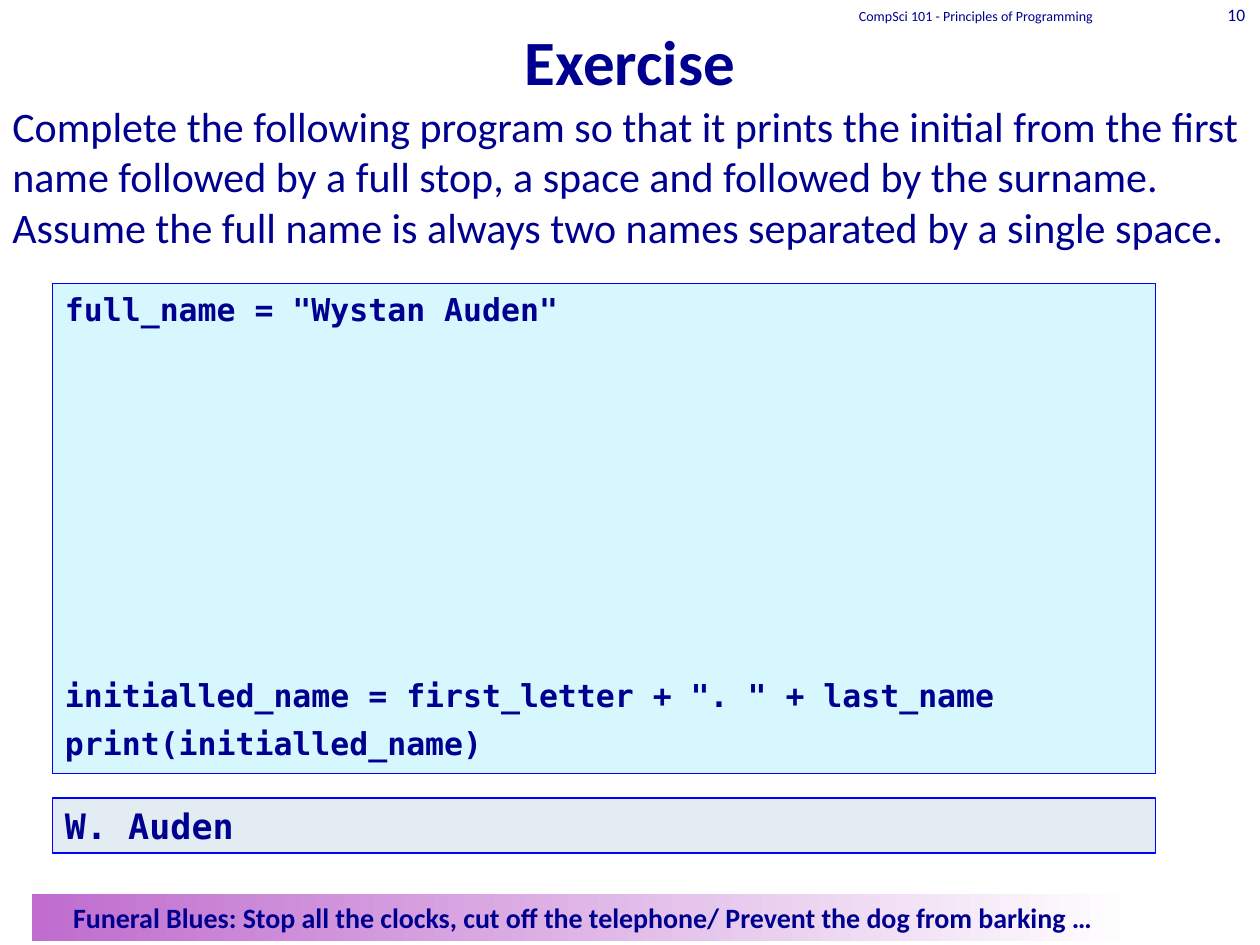
from pptx import Presentation
from pptx.dml.color import RGBColor
from pptx.enum import shapes, text
from pptx.util import Cm, Pt

NAVY = RGBColor(0x00, 0x00, 0x90)
BLUE = RGBColor(0x00, 0x00, 0xFF)
CODE_FILL = RGBColor(0xD7, 0xF7, 0xFF)
OUTPUT_FILL = RGBColor(0xE3, 0xEB, 0xF3)
ORCHID = RGBColor(0xBF, 0x6C, 0xCE)
WHITE = RGBColor(0xFF, 0xFF, 0xFF)

SANS, MONO = "Calibri", "DejaVu Sans Mono"
LEFT, CENTER, RIGHT = text.PP_ALIGN.LEFT, text.PP_ALIGN.CENTER, text.PP_ALIGN.RIGHT
TOP, MIDDLE, BOTTOM = text.MSO_ANCHOR.TOP, text.MSO_ANCHOR.MIDDLE, text.MSO_ANCHOR.BOTTOM


def write(shape, lines, size, font=SANS, bold=False, align=LEFT, anchor=TOP):
    frame = shape.text_frame
    frame.word_wrap = True
    frame.vertical_anchor = anchor
    frame.text = "\n".join(lines)
    for paragraph in frame.paragraphs:
        paragraph.alignment = align
        paragraph.font.name = font
        paragraph.font.size = Pt(size)
        paragraph.font.bold = bold
        paragraph.font.color.rgb = NAVY


def add_panel(left, top, width, height):
    panel = slide.shapes.add_shape(
        shapes.MSO_SHAPE.RECTANGLE, Cm(left), Cm(top), Cm(width), Cm(height))
    panel.shadow.inherit = False
    return panel


prs = Presentation()
prs.slide_width, prs.slide_height = Cm(25.4), Cm(19.05)
slide = prs.slides.add_slide(prs.slide_layouts[6])

# Heading, task and page header
labels = [
    ("Exercise", (0, 0, 25.4, 2.11), 36, True, CENTER, BOTTOM),
    ("Complete the following program so that it prints the initial from the first "
     "name followed by a full stop, a space and followed by the surname. "
     "Assume the full name is always two names separated by a single space.",
     (0, 1.9, 25.4, 4), 24, False, LEFT, TOP),
    ("CompSci 101 - Principles of Programming",
     (14.6, -0.2, 10.16, 1.06), 8, False, CENTER, MIDDLE),
    ("10", (23.93, -0.2, 1.42, 1), 10, False, RIGHT, MIDDLE),
]
for wording, (left, top, width, height), size, bold, align, anchor in labels:
    label = slide.shapes.add_textbox(Cm(left), Cm(top), Cm(width), Cm(height))
    write(label, [wording], size, bold=bold, align=align, anchor=anchor)

# Expected output and program
output = add_panel(1.06, 16.09, 22.23, 1.11)
write(output, ["W. Auden"], 20, MONO, True)

program = add_panel(1.06, 5.72, 22.23, 9.88)
write(program, ['full_name = "Wystan Auden"',
                'initialled_name = first_letter + ". " + last_name',
                "print(initialled_name)"], 18, MONO, True)
# The wide gap is where the student writes the missing code
for paragraph, gap in zip(program.text_frame.paragraphs, (6, 199, 6)):
    paragraph.space_before = Pt(gap)

for panel, colour in ((output, OUTPUT_FILL), (program, CODE_FILL)):
    panel.fill.solid()
    panel.fill.fore_color.rgb = colour
    panel.line.color.rgb = BLUE
    panel.line.width = Pt(0.75)

# Quotation banner
banner = add_panel(0.64, 18.03, 22.23, 0.94)
banner.line.fill.background()
banner.fill.gradient()
banner.fill.gradient_angle = 0
for stop, position, colour in zip(banner.fill.gradient_stops, (0, 1), (ORCHID, WHITE)):
    stop.position = position
    stop.color.rgb = colour
write(banner, ["Funeral Blues: Stop all the clocks, cut off the telephone/ "
               "Prevent the dog from barking …"], 16, bold=True, align=CENTER)

prs.save("out.pptx")
